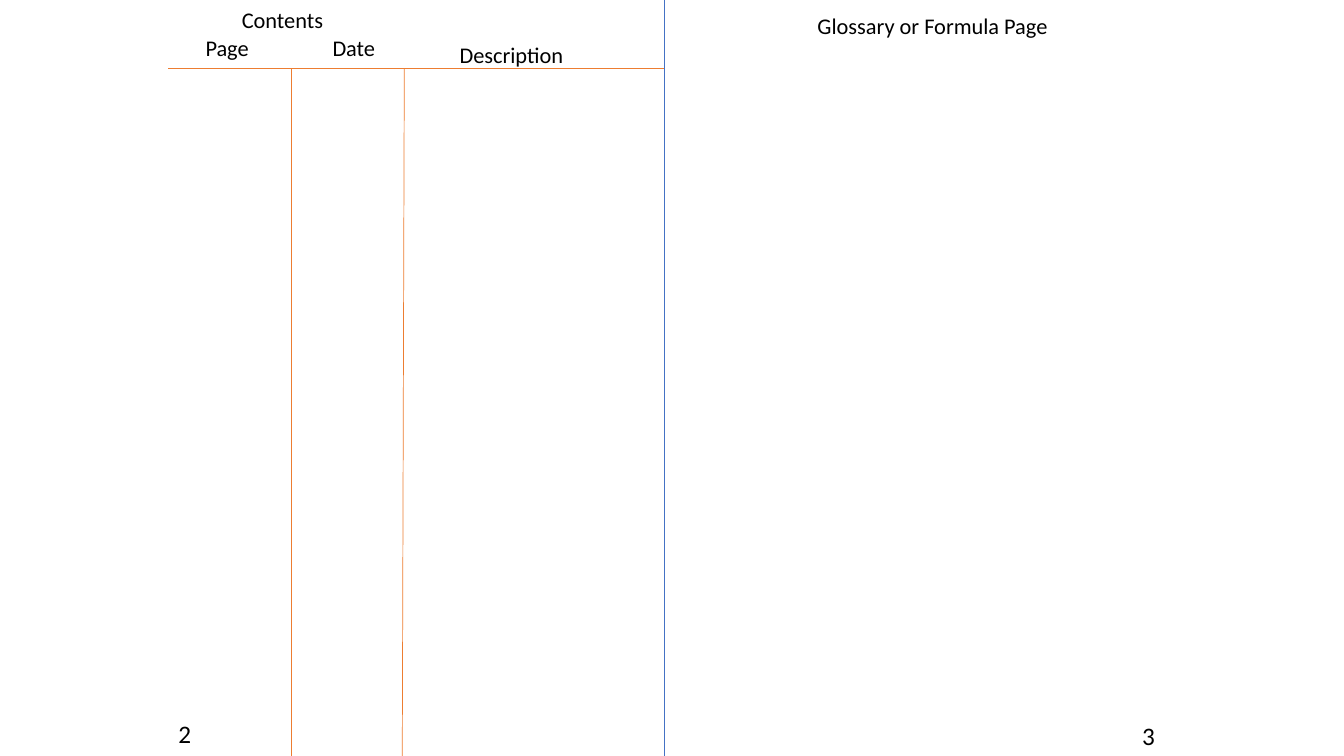
import dataclasses

import pptx
import pptx.chart.data
import pptx.dml.color
import pptx.enum.shapes
import pptx.enum.text
import pptx.util
from pptx.util import Inches


@dataclasses.dataclass(frozen=True)
class Theme:
    """Colours, font and type sizes of the notebook spread."""
    font: str = "Calibri"
    ink: str = "000000"
    fold: str = "4472C4"
    rule: str = "ED7D31"
    heading: int = 16
    number: int = 18
    line: float = 0.5


class Spread:
    """Draws the elements of a two-page spread on one slide."""

    def __init__(self, s, theme):
        self.s = s
        self.theme = theme

    def line(self, x1, y1, x2, y2, color):
        """Add a thin straight line."""
        c = self.s.shapes.add_connector(
            pptx.enum.shapes.MSO_CONNECTOR.STRAIGHT,
            Inches(x1), Inches(y1), Inches(x2), Inches(y2))
        c.line.color.rgb = pptx.dml.color.RGBColor.from_string(color)
        c.line.width = pptx.util.Pt(self.theme.line)
        c._element.spPr.append(pptx.oxml.parse_xml(
            '<a:effectLst xmlns:a="http://schemas.openxmlformats.org/drawingml/2006/main"/>'))

    def text(self, text, x, y, w, h, size, wrap=False):
        """Add a one-line text box."""
        sp = self.s.shapes.add_textbox(Inches(x), Inches(y), Inches(w), Inches(h))
        tf = sp.text_frame
        frame = {"word_wrap": wrap,
                 "auto_size": pptx.enum.text.MSO_AUTO_SIZE.SHAPE_TO_FIT_TEXT}
        for name, value in frame.items():
            setattr(tf, name, value)
        r = tf.paragraphs[0].add_run()
        r.text = text
        for name, value in {"name": self.theme.font, "size": pptx.util.Pt(size)}.items():
            setattr(r.font, name, value)
        r.font.color.rgb = pptx.dml.color.RGBColor.from_string(self.theme.ink)


def main():
    """Build the contents and glossary spread."""
    prs = pptx.Presentation()
    width, bottom = 13.33, 7.5
    prs.slide_width, prs.slide_height = Inches(width), Inches(bottom)
    theme = Theme()
    spread = Spread(prs.slides.add_slide(prs.slide_layouts[6]), theme)

    left, fold, header = 1.67, 6.59, 0.68
    spread.line(fold, 0, fold, bottom, theme.fold)
    spread.line(left, header, fold, header, theme.rule)
    for top_x, bottom_x in ((2.89, 2.89), (4.01, 3.99)):
        spread.line(top_x, header, bottom_x, bottom, theme.rule)

    for text, x, y, w, wrap in (
            ("Contents", 2.3, 0.01, 1.02, False),
            ("Page", 1.94, 0.29, 0.64, False),
            ("Date", 3.2, 0.29, 0.63, False),
            ("Description", 4.46, 0.36, 1.53, True),
            ("Glossary or Formula Page", 8.01, 0.07, 2.83, True)):
        spread.text(text, x, y, w, 0.37, theme.heading, wrap)

    for text, x, y, w, wrap in (("2", left, 7.08, 0.33, False),
                                ("3", 11.23, 7.1, 0.6, True)):
        spread.text(text, x, y, w, 0.4, theme.number, wrap)

    prs.save("out.pptx")


if __name__ == "__main__":
    main()
